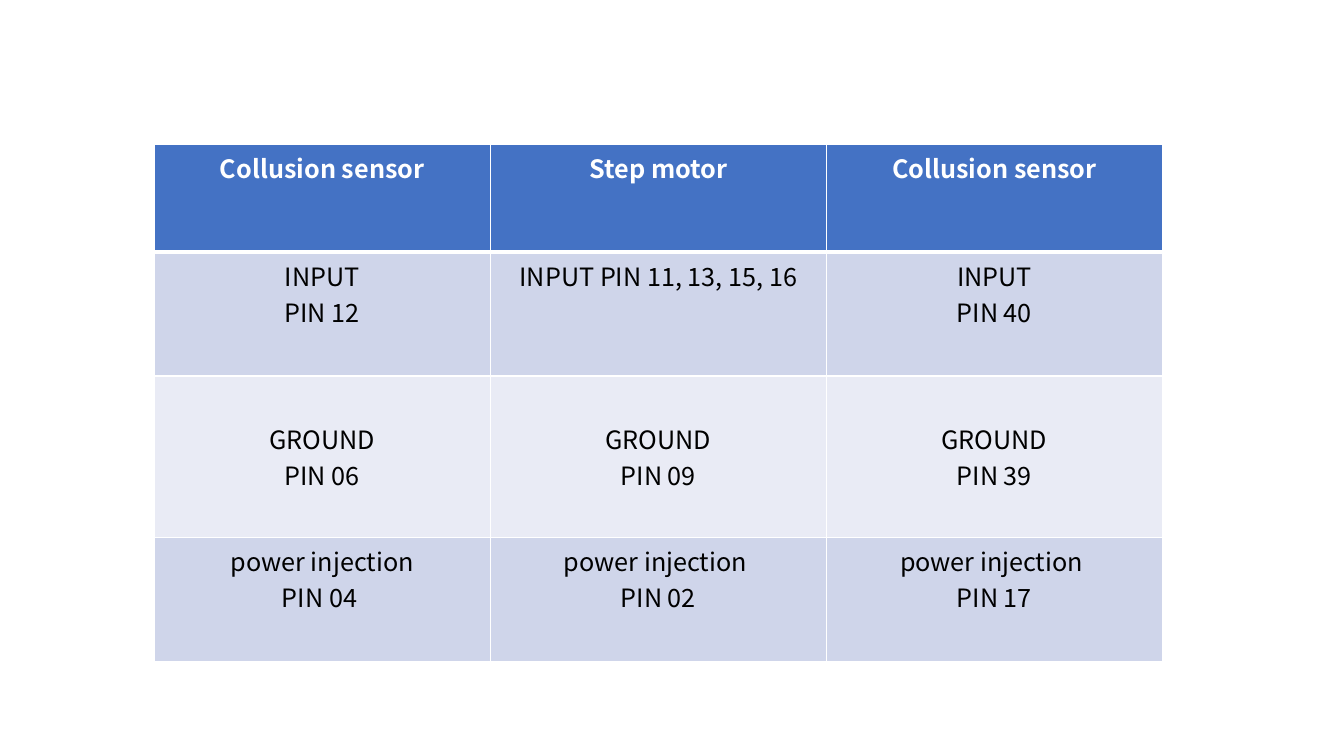
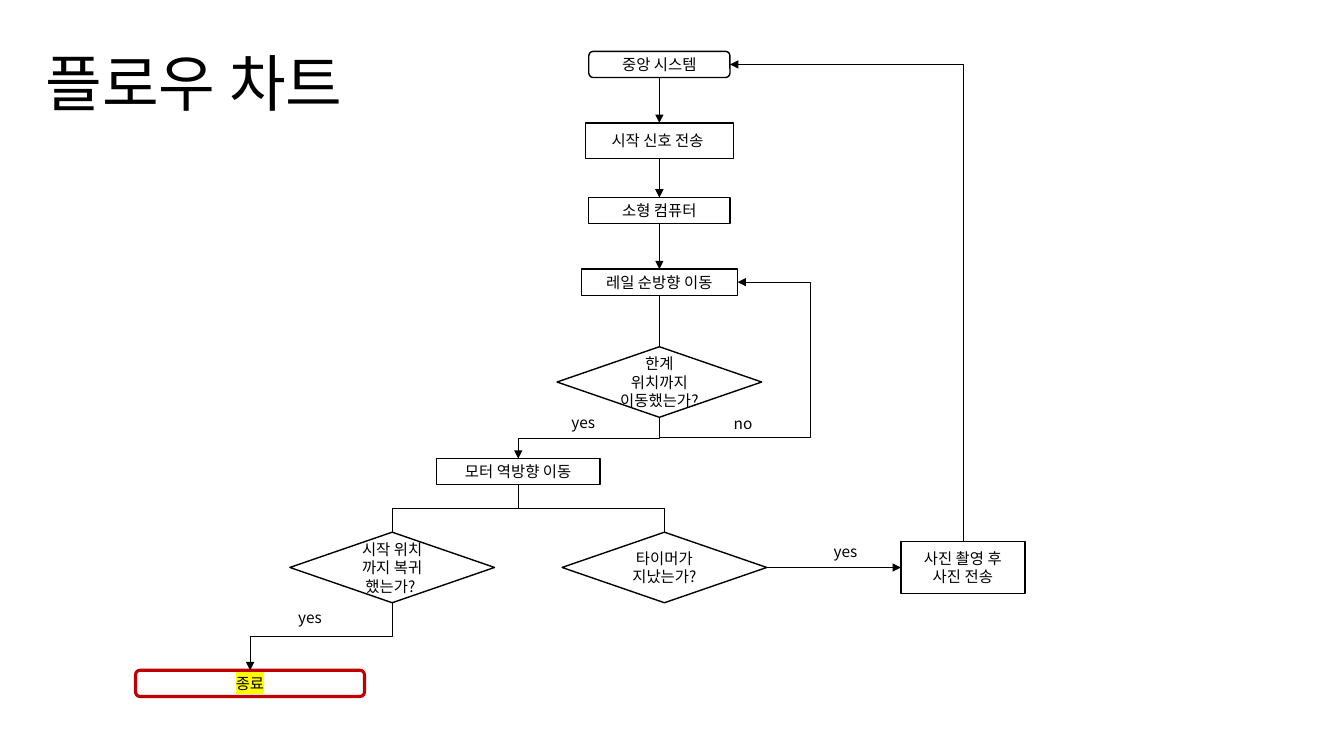
from dataclasses import dataclass

from lxml import etree
from pptx import Presentation
from pptx.dml.color import RGBColor
from pptx.enum import shapes as es, text as et
from pptx.oxml import ns
from pptx.util import Inches, Pt

SHAPE = es.MSO_SHAPE
TOP, LEFT, BOTTOM, RIGHT = range(4)


@dataclass(frozen=True)
class Theme:
    font: str = "Noto Sans CJK KR"
    black: str = "000000"
    white: str = "FFFFFF"
    header: str = "4472C4"
    band_dark: str = "CFD5EA"
    band_light: str = "E9EBF5"
    end: str = "C00000"
    highlight: str = "FFFF00"
    title: int = 44
    table: int = 18
    chart: int = 11
    outline: float = 1
    end_outline: float = 2.25
    flow: float = 0.5


T = Theme()


def rgb(value):
    return RGBColor.from_string(value)


def sub(parent, tag, **attrs):
    return etree.SubElement(parent, ns.qn(tag), attrs)


def write(tf, content, size, color=T.black, bold=False,
          align=et.PP_ALIGN.CENTER):
    tf.word_wrap = True
    tf.text = content
    for p in tf.paragraphs:
        p.alignment = align
        f = p.font
        f.name, f.size, f.bold = T.font, Pt(size), bold
        f.color.rgb = rgb(color)
        sub(p._p.pPr.find(ns.qn("a:defRPr")), "a:ea", typeface=T.font)


def node(s, kind, content, center, top, width, height,
         line=T.black, weight=T.outline):
    sp = s.shapes.add_shape(kind, Inches(center - width / 2), Inches(top),
                            Inches(width), Inches(height))
    sp.shadow.inherit = False
    sp.fill.solid()
    sp.fill.fore_color.rgb = rgb(T.white)
    sp.line.color.rgb = rgb(line)
    sp.line.width = Pt(weight)
    sp.text_frame.vertical_anchor = et.MSO_ANCHOR.MIDDLE
    write(sp.text_frame, content, T.chart)
    return sp


def highlight(r, color):
    sub(sub(r._r.get_or_add_rPr(), "a:highlight"), "a:srgbClr", val=color)


def label(s, content, left, top, width=0.59):
    sp = s.shapes.add_textbox(Inches(left), Inches(top),
                              Inches(width), Inches(0.29))
    write(sp.text_frame, content, T.chart)


def link(s, start, end, start_site=BOTTOM, end_site=TOP, arrow=True,
         kind=es.MSO_CONNECTOR.STRAIGHT):
    c = s.shapes.add_connector(kind, 0, 0, 0, 0)
    c.begin_connect(start, start_site)
    c.end_connect(end, end_site)
    c.line.color.rgb = rgb(T.black)
    c.line.width = Pt(T.flow)
    if arrow:
        sub(c.line._get_or_add_ln(), "a:tailEnd", type="triangle")
    sub(c._element.spPr, "a:effectLst")
    return c


def elbow(s, start, end, start_site=BOTTOM, end_site=TOP, arrow=True,
          preset="bentConnector3", adjust=(0.5,)):
    c = link(s, start, end, start_site, end_site, arrow,
             es.MSO_CONNECTOR.ELBOW)
    dx, dy = c.end_x - c.begin_x, c.end_y - c.begin_y
    mid_x, mid_y = c.begin_x + dx / 2, c.begin_y + dy / 2
    c.width, c.height = abs(dy), abs(dx)
    c.left, c.top = int(mid_x - c.width / 2), int(mid_y - c.height / 2)
    xfrm = c._element.spPr.xfrm
    xfrm.set("rot", str((90 if (dy > 0) == (dx < 0) else 270) * 60000))
    xfrm.set("flipH", str(int(dx > 0)))
    xfrm.set("flipV", str(int(dy < 0)))
    geom = c._element.spPr.find(ns.qn("a:prstGeom"))
    geom.set("prst", preset)
    guides = geom.find(ns.qn("a:avLst"))
    for i, value in enumerate(adjust, 1):
        sub(guides, "a:gd", name=f"adj{i}", fmla=f"val {round(value * 100000)}")


def borders(cell, bottom):
    tcPr = cell._tc.get_or_add_tcPr()
    for i, (side, weight) in enumerate(
            (("L", 1), ("R", 1), ("T", 1), ("B", bottom))):
        ln = etree.Element(ns.qn(f"a:ln{side}"), w=str(Pt(weight)))
        sub(sub(ln, "a:solidFill"), "a:srgbClr", val=T.white)
        tcPr.insert(i, ln)


def pin_table(s, rows, heights):
    tbl = s.shapes.add_table(len(rows), len(rows[0]), Inches(1.53),
                             Inches(1.43), Inches(10),
                             Inches(sum(heights))).table
    for i, (row, height) in enumerate(zip(rows, heights)):
        header = i == 0
        tbl.rows[i].height = Inches(height)
        fill = T.header if header else T.band_dark if i % 2 else T.band_light
        for j, content in enumerate(row):
            cell = tbl.cell(i, j)
            cell.fill.solid()
            cell.fill.fore_color.rgb = rgb(fill)
            write(cell.text_frame, content, T.table,
                  T.white if header else T.black, header)
            if fill == T.band_light:
                cell.vertical_anchor = et.MSO_ANCHOR.MIDDLE
            borders(cell, 3 if header else 1)


def pin_slide(prs):
    s = prs.slides.add_slide(prs.slide_layouts[6])
    pin_table(s, [
        ("Collusion sensor", "Step motor", "Collusion sensor"),
        ("INPUT\nPIN 12", "INPUT PIN 11, 13, 15, 16", "INPUT\nPIN 40"),
        ("GROUND\nPIN 06", "GROUND\nPIN 09", "GROUND\nPIN 39"),
        ("power injection\nPIN 04 ", "power injection \nPIN 02",
         "power injection \nPIN 17"),
    ], (1.07, 1.23, 1.6, 1.23))


def title(s, content):
    sp = s.shapes.title
    sp.left, sp.top = Inches(0.35), Inches(0.13)
    sp.width, sp.height = Inches(11.5), Inches(1.45)
    sp.text_frame.vertical_anchor = et.MSO_ANCHOR.MIDDLE
    write(sp.text_frame, content, T.title, align=et.PP_ALIGN.LEFT)
    sp.text_frame.paragraphs[0].line_spacing = 0.9


def flow_slide(prs):
    s = prs.slides.add_slide(prs.slide_layouts[5])
    title(s, "플로우 차트")

    axis, low, diamond = 6.54, 0.26, (2.03, 0.7)
    system = node(s, SHAPE.ROUNDED_RECTANGLE, "중앙 시스템",
                  axis, 0.51, 1.4, low)
    signal = node(s, SHAPE.RECTANGLE, "시작 신호 전송 ", axis, 1.22, 1.47, 0.35)
    board = node(s, SHAPE.RECTANGLE, "소형 컴퓨터", axis, 1.96, 1.4, low)
    forward = node(s, SHAPE.RECTANGLE, "레일 순방향 이동",
                   axis, 2.67, 1.55, low)
    limit = node(s, SHAPE.DIAMOND, "한계 위치까지 이동했는가?",
                 axis, 3.44, *diamond)
    reverse = node(s, SHAPE.RECTANGLE, "모터 역방향 이동",
                   5.14, 4.55, 1.62, low)
    home = node(s, SHAPE.DIAMOND, "시작 위치 까지 복귀 했는가? ",
                3.89, 5.28, *diamond)
    timer = node(s, SHAPE.DIAMOND, "타이머가 지났는가?", 6.59, 5.28, *diamond)
    photo = node(s, SHAPE.RECTANGLE, "사진 촬영 후\n사진 전송",
                 9.55, 5.37, 1.23, 0.52)
    end = node(s, SHAPE.FLOWCHART_ALTERNATE_PROCESS, "종료",
               2.48, 6.65, 2.27, low, T.end, T.end_outline)
    highlight(end.text_frame.paragraphs[0].runs[0], T.highlight)

    for a, b in ((system, signal), (signal, board), (board, forward)):
        link(s, a, b)
    link(s, forward, limit, arrow=False)
    link(s, timer, photo, RIGHT, LEFT)
    elbow(s, limit, reverse)
    elbow(s, limit, forward, end_site=RIGHT, preset="bentConnector4",
          adjust=(-0.15, 1.93))
    for branch in (home, timer):
        elbow(s, reverse, branch, arrow=False)
    elbow(s, home, end)
    elbow(s, photo, system, TOP, RIGHT, preset="bentConnector2", adjust=())

    for left, top in ((5.49, 4.05), (8.09, 5.33), (2.78, 5.98)):
        label(s, "yes", left, top)
    label(s, "no", 7.16, 4.06, 0.42)


def main():
    prs = Presentation()
    prs.slide_width, prs.slide_height = Inches(13.33), Inches(7.5)
    pin_slide(prs)
    flow_slide(prs)
    prs.save("out.pptx")


if __name__ == "__main__":
    main()
